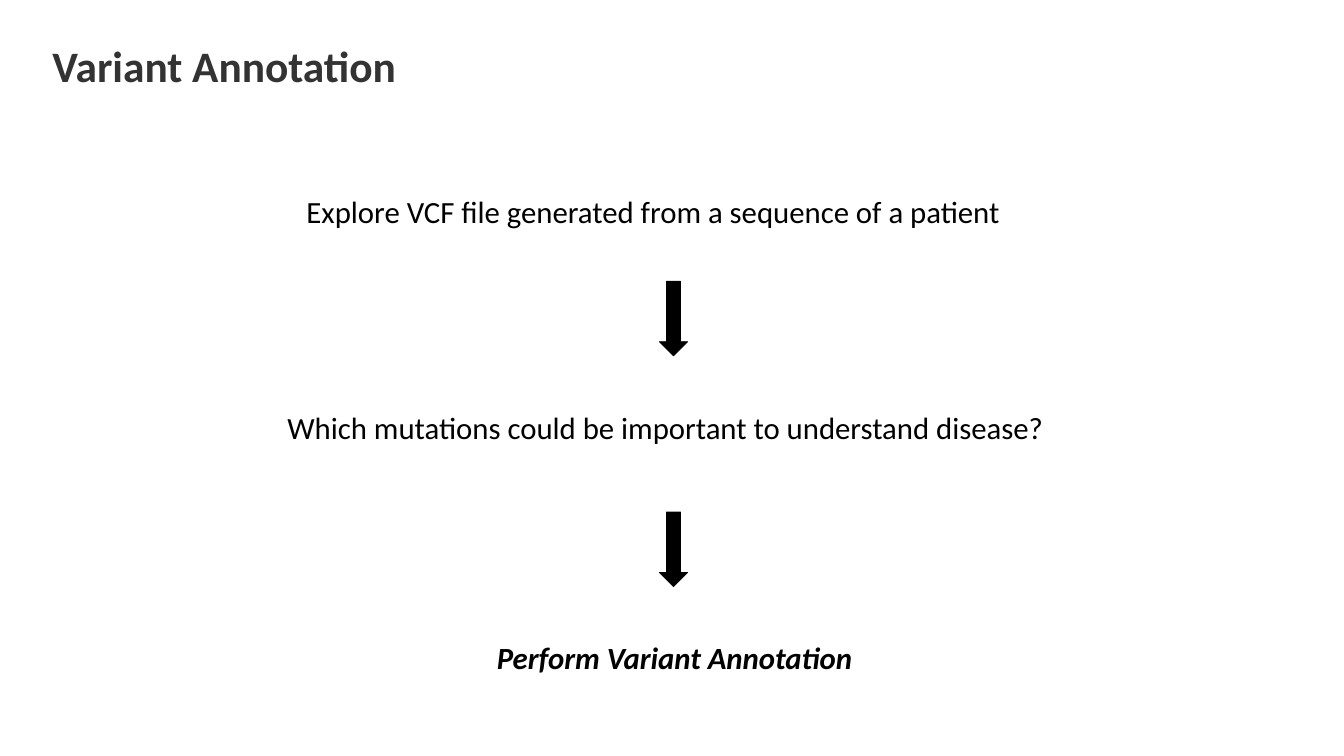
from pptx import Presentation
from pptx.dml.color import RGBColor
from pptx.enum.shapes import MSO_SHAPE as SHAPE
from pptx.enum.text import MSO_ANCHOR as ANCHOR, PP_ALIGN as ALIGN
from pptx.util import Inches, Pt

COLORS = {"title": "333333", "ink": "000000"}
FONT = "Calibri"
ARROW_W, ARROW_H = 0.28, 0.74
STEP_H = 0.45


def rgb(name):
    """Return the named colour."""
    return RGBColor.from_string(COLORS[name])


def add_text(s, box, text, size, color, bold=False, italic=False,
             align=ALIGN.LEFT, insets=(0.07, 0.04), wrap=True):
    """Place one line of text in a box and return its frame."""
    tf = s.shapes.add_textbox(*map(Inches, box)).text_frame
    tf.word_wrap = wrap
    tf.margin_left = tf.margin_right = Inches(insets[0])
    tf.margin_top = tf.margin_bottom = Inches(insets[1])
    p = tf.paragraphs[0]
    p.text = text
    p.alignment = align
    p.font.name, p.font.size = FONT, Pt(size)
    p.font.bold, p.font.italic = bold, italic
    p.font.color.rgb = rgb(color)
    return tf


def add_title(s, box, text):
    """Place the slide title."""
    tf = add_text(s, box, text, 31, "title", bold=True,
                  insets=(0.04, 0.04), wrap=False)
    tf.vertical_anchor = ANCHOR.MIDDLE
    tf.paragraphs[0].line_spacing = 0.8


def add_arrow(s, left, top):
    """Place a black down arrow."""
    sp = s.shapes.add_shape(SHAPE.DOWN_ARROW, Inches(left), Inches(top),
                            Inches(ARROW_W), Inches(ARROW_H))
    sp.shadow.inherit = False
    sp.fill.solid()
    sp.fill.fore_color.rgb = rgb("ink")
    sp.line.color.rgb = rgb("ink")
    sp.line.width = Pt(0.5)


def add_flow(s, box):
    """Place the three steps and the arrows between them."""
    x, y, w, h = box
    steps = [
        (0.7, 0, w - 0.7, "Explore VCF file generated from a sequence of a patient", {}),
        (0, 2.14, 8.66, "Which mutations could be important to understand disease?",
         {"align": ALIGN.CENTER}),
        (1.08, h - STEP_H, 6.68, "Perform Variant Annotation",
         {"align": ALIGN.CENTER, "bold": True, "italic": True}),
    ]
    for dx, dy, width, text, style in steps:
        add_text(s, (x + dx, y + dy, width, STEP_H), text, 22, "ink", **style)
    for dy in (0.92, 3.21):
        add_arrow(s, x + 4.27, y + dy)


def main():
    """Build and save the slide."""
    prs = Presentation()
    prs.slide_width, prs.slide_height = Inches(13.33), Inches(7.5)
    s = prs.slides.add_slide(prs.slide_layouts[6])
    add_title(s, (0.48, 0.44, 3.52, 0.5), "Variant Annotation")
    add_flow(s, (2.27, 1.87, 10.37, 4.88))
    prs.save("out.pptx")


if __name__ == "__main__":
    main()
